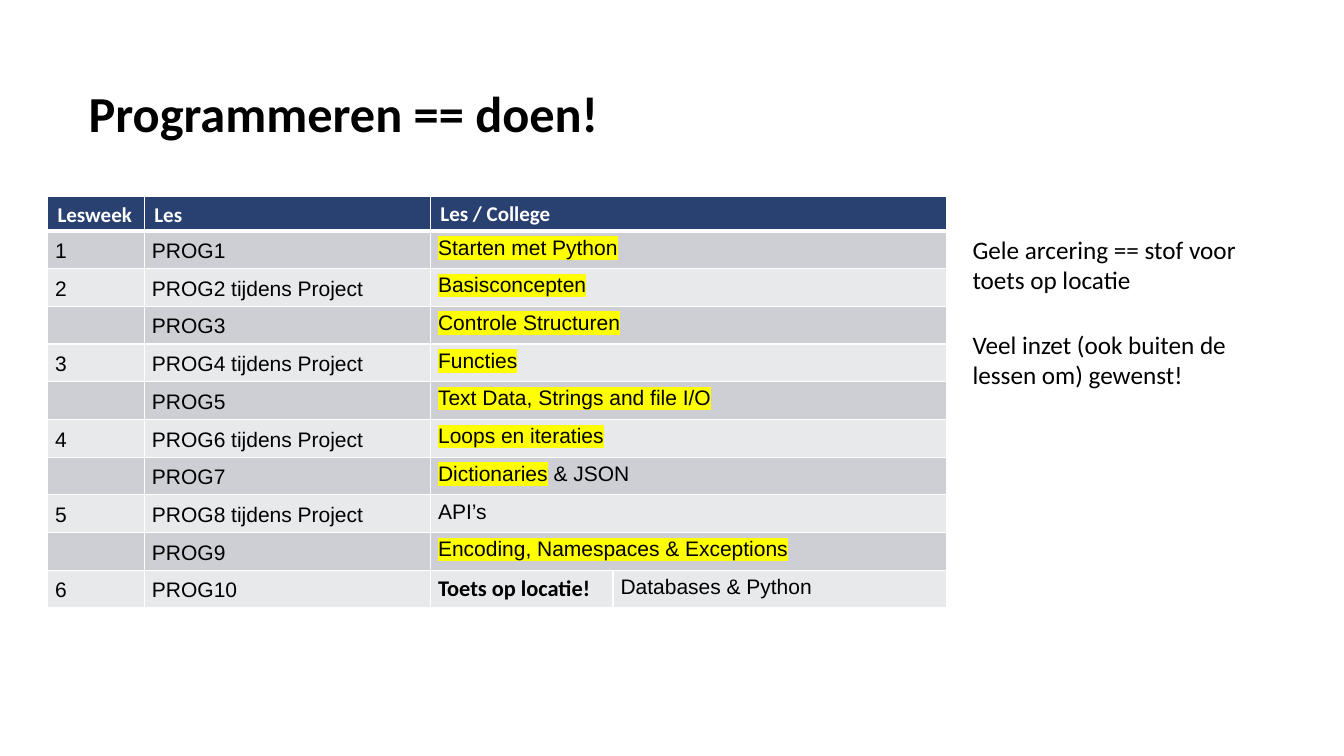
import pptx
import pptx.util
import pptx.dml.color
import pptx.enum.text
import pptx.oxml.ns
import lxml.etree

Cm = pptx.util.Cm
Pt = pptx.util.Pt
ALIGN = pptx.enum.text.PP_ALIGN
ANCHOR = pptx.enum.text.MSO_ANCHOR

BLACK, WHITE, NAVY, YELLOW = "000000", "FFFFFF", "294171", "FFFF00"
BANDS = ["CDCFD5", "E8E9EB"]
WIDTHS = [2.44, 7.21, 4.6, 8.41]
HEAD_H, ROW_H = 0.86, 0.95

# Week, lesson, marked part of the topic, plain part of the topic
LESSONS = [
    ("1", "PROG1", "Starten met Python", ""),
    ("2", "PROG2 tijdens Project", "Basisconcepten", ""),
    ("", "PROG3", "Controle Structuren", ""),
    ("3", "PROG4 tijdens Project", "Functies", ""),
    ("", "PROG5", "Text Data, Strings and file I/O", ""),
    ("4", "PROG6 tijdens Project", "Loops en iteraties", ""),
    ("", "PROG7", "Dictionaries", " & JSON"),
    ("5", "PROG8 tijdens Project", "", "API’s"),
    ("", "PROG9", "Encoding, Namespaces & Exceptions", ""),
]
NOTES = [
    "Gele arcering == stof voor toets op locatie",
    "Veel inzet (ook buiten de lessen om) gewenst!",
]


def rgb(text):
    return pptx.dml.color.RGBColor.from_string(text)


def sub(node, tag, **attrs):
    return lxml.etree.SubElement(node, pptx.oxml.ns.qn(tag), **attrs)


def add_run(para, text, size, face="Calibri", color=BLACK, bold=False, mark=None):
    run = para.add_run()
    run.text = text
    font = run.font
    font.size, font.bold = Pt(size), bold
    font.color.rgb = rgb(color)
    if mark:
        light = sub(font._element, "a:highlight")
        sub(light, "a:srgbClr", val=mark)
    font.name = face


def add_line(cell, place, side, width):
    props = cell._tc.get_or_add_tcPr()
    line = sub(props, "a:" + side, w=str(Pt(width)))
    sub(sub(line, "a:solidFill"), "a:srgbClr", val=WHITE)
    props.insert(place, line)


def style_cell(cell, row, col):
    head = row == 0
    cell.fill.solid()
    cell.fill.fore_color.rgb = rgb(NAVY if head else BANDS[(row - 1) % 2])
    cell.margin_left = cell.margin_right = Cm(0.25 if head else 0.19)
    cell.margin_top = cell.margin_bottom = Cm(0 if head else 0.13)
    cell.vertical_anchor = ANCHOR.MIDDLE if head else ANCHOR.TOP
    widths = [1, 1, 3 if row == 1 else 1, 3 if head else 1]
    for place, side in enumerate(["lnL", "lnR", "lnT", "lnB"]):
        add_line(cell, place, side, widths[place])
    para = cell.text_frame.paragraphs[0]
    if col < 2:
        para.alignment = ALIGN.JUSTIFY
        para.line_spacing, para.space_after = 1.15, Pt(6)
    para._p.get_or_add_endParaRPr().set("sz", "1500")


def add_title(slide, left, top, width, height):
    title = slide.shapes.title
    title.left, title.top = Cm(left), Cm(top)
    title.width, title.height = Cm(width), Cm(height)
    frame = title.text_frame
    frame.word_wrap = True
    frame.vertical_anchor = ANCHOR.BOTTOM
    frame.margin_bottom = Cm(0.5)
    para = frame.paragraphs[0]
    para.alignment = ALIGN.LEFT
    add_run(para, "Programmeren == doen!", 36, bold=True)


def add_plan(slide, left, top):
    count = len(LESSONS) + 2
    height = HEAD_H + ROW_H * (count - 1)
    table = slide.shapes.add_table(
        count, len(WIDTHS), Cm(left), Cm(top), Cm(sum(WIDTHS)), Cm(height)).table
    for col, width in enumerate(WIDTHS):
        table.columns[col].width = Cm(width)
    for row in range(count):
        table.rows[row].height = Cm(ROW_H if row else HEAD_H)
        for col in range(len(WIDTHS)):
            style_cell(table.cell(row, col), row, col)
        if row < count - 1:
            table.cell(row, 2).merge(table.cell(row, 3))

    def write(row, col, text, size=15, face="Arial", **look):
        if text:
            para = table.cell(row, col).text_frame.paragraphs[0]
            add_run(para, text, size, face, **look)

    # Header row
    for col, text in enumerate(["Lesweek", "Les", "Les / College"]):
        write(0, col, text, face="Calibri", color=WHITE, bold=True)
    # Lesson rows
    for row, (week, name, marked, plain) in enumerate(LESSONS, 1):
        write(row, 0, week)
        write(row, 1, name)
        write(row, 2, marked, mark=YELLOW)
        write(row, 2, plain)
    # Last row, with the test in a cell of its own
    last = count - 1
    write(last, 0, "6")
    write(last, 1, "PROG10")
    write(last, 2, "Toets op locatie!", 16, "Calibri", bold=True)
    write(last, 3, "Databases & Python")


def add_notes(slide, left, top, width, height):
    box = slide.shapes.add_textbox(Cm(left), Cm(top), Cm(width), Cm(height))
    frame = box.text_frame
    frame.word_wrap = True
    for place, text in enumerate(NOTES):
        para = frame.add_paragraph() if place else frame.paragraphs[0]
        if place:
            para.space_before = Pt(25)
        add_run(para, text, 18)


def main():
    deck = pptx.Presentation()
    deck.slide_width, deck.slide_height = Cm(33.87), Cm(19.05)
    slide = deck.slides.add_slide(deck.slide_layouts[5])
    add_title(slide, 1.98, 0, 21.59, 4.09)
    add_plan(slide, 1.2, 4.96)
    add_notes(slide, 24.26, 5.77, 8.43, 4.27)
    deck.save("out.pptx")


if __name__ == "__main__":
    main()
